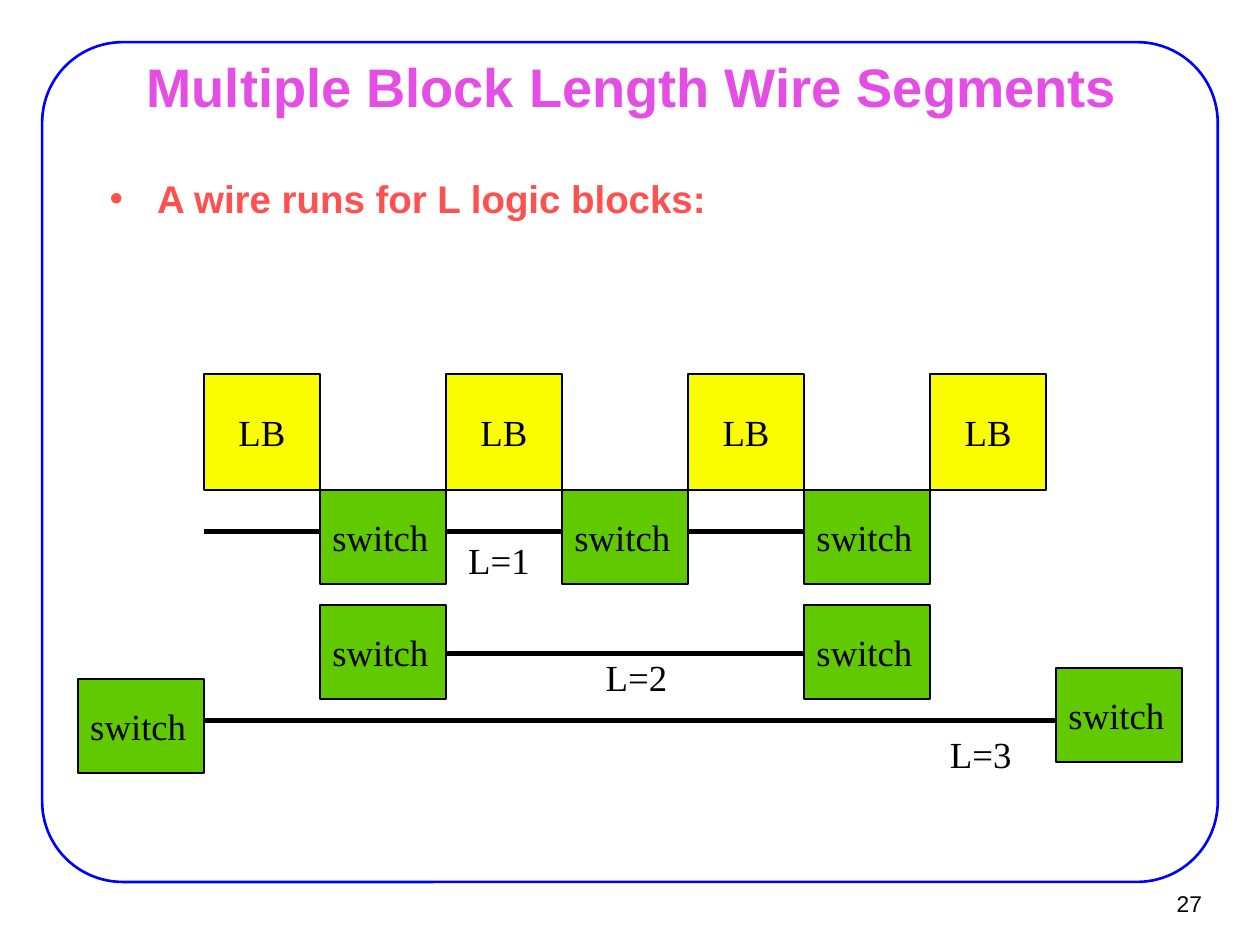
from lxml.etree import SubElement
from pptx import Presentation
from pptx.dml.color import RGBColor as Rgb
from pptx.enum.shapes import MSO_CONNECTOR as Connector, MSO_SHAPE as Preset
from pptx.enum.text import MSO_ANCHOR as Anchor, PP_ALIGN as Align
from pptx.oxml.ns import qn
from pptx.util import Cm, Pt

COLORS = {
    "frame": "0000FF",
    "title": "E44EE4",
    "bullet": "FF5050",
    "ink": "000000",
    "logic": "FAFD00",
    "switch": "60C900",
}
SANS, SERIF = "Arial", "Times New Roman"


class WirePage:
    def __init__(self, page):
        self.page = page

    def color(self, name):
        return Rgb.from_string(COLORS[name])

    def label(self, box, text, size=21, font=SERIF, color="ink", bold=False,
              align=Align.LEFT, anchor=Anchor.MIDDLE, inset=(0.25, 0.13)):
        frame = box.text_frame
        frame.text = text
        frame.word_wrap = True
        frame.vertical_anchor = anchor
        frame.margin_left = frame.margin_right = Cm(inset[0])
        frame.margin_top = frame.margin_bottom = Cm(inset[1])
        para = frame.paragraphs[0]
        para.alignment = align
        span = para.runs[0].font
        span.name, span.size, span.bold = font, Pt(size), bold
        span.color.rgb = self.color(color)
        return para

    def text(self, left, top, width, height, text, **style):
        box = self.page.shapes.add_textbox(Cm(left), Cm(top), Cm(width), Cm(height))
        return self.label(box, text, **style)

    def bullet(self, left, top, width, height, text, **style):
        para = self.text(left, top, width, height, text, anchor=Anchor.TOP, **style)
        para.space_before = Pt(4.4)
        props = para._p.get_or_add_pPr()
        props.set("marL", str(Cm(0.96)))
        props.set("indent", str(-Cm(0.96)))
        SubElement(props, qn("a:buFont"), typeface=SANS)
        SubElement(props, qn("a:buChar"), char="•")

    def outline(self, preset, left, top, width, height, line, weight, fill=None):
        box = self.page.shapes.add_shape(preset, Cm(left), Cm(top), Cm(width), Cm(height))
        box.shadow.inherit = False
        box.line.color.rgb = self.color(line)
        box.line.width = Pt(weight)
        if fill:
            box.fill.solid()
            box.fill.fore_color.rgb = self.color(fill)
        else:
            box.fill.background()
        return box

    def frame(self, left, top, width, height):
        box = self.outline(Preset.ROUNDED_RECTANGLE, left, top, width, height, "frame", 1.5)
        box.adjustments[0] = 0.096

    def block(self, left, top, width, height, text, fill, align):
        box = self.outline(Preset.RECTANGLE, left, top, width, height, "ink", 1, fill)
        self.label(box, text, align=align)

    def wire(self, start, end, level):
        wire = self.page.shapes.add_connector(
            Connector.STRAIGHT, Cm(start), Cm(level), Cm(end), Cm(level))
        wire.line.color.rgb = self.color("ink")
        wire.line.width = Pt(3)
        SubElement(wire._element.spPr, qn("a:effectLst"))


def main():
    deck = Presentation()
    deck.slide_width, deck.slide_height = Cm(25.4), Cm(19.05)
    page = WirePage(deck.slides.add_slide(deck.slide_layouts[6]))

    page.frame(0.85, 0.85, 23.7, 16.93)
    page.text(1.93, 1.12, 21.59, 1.24, "Multiple Block Length Wire Segments", size=31,
              font=SANS, color="title", bold=True, align=Align.CENTER, inset=(0.28, 0.15))
    page.bullet(1.93, 3.38, 21.56, 6.73, "A wire runs for L logic blocks:", size=22,
                font=SANS, color="bullet", bold=True, inset=(0.28, 0.15))
    page.text(22.91, 17.75, 1.55, 0.94, "27", size=13, font=SANS,
              align=Align.RIGHT, inset=(0.23, 0.1))

    logic_size, switch_width, switch_height = 2.34, 2.54, 1.9
    pitch = logic_size + switch_width
    logic_top = 7.54
    logic_lefts = [4.11 + pitch * column for column in range(4)]
    switch_lefts = [left + logic_size for left in logic_lefts[:3]]
    first_row, second_row = logic_top + logic_size, 12.19
    outer_left, outer_right = logic_lefts[0] - switch_width, 21.29

    for left in logic_lefts:
        page.block(left, logic_top, logic_size, logic_size, "LB", "logic", Align.CENTER)

    for left in logic_lefts[:3]:
        page.wire(left, left + logic_size, 10.72)
    page.wire(logic_lefts[1], switch_lefts[2], 13.18)
    page.wire(logic_lefts[0], outer_right, 14.53)

    switches = [(left, first_row) for left in switch_lefts]
    switches += [(left, second_row) for left in switch_lefts[::2]]
    switches += [(outer_left, 13.69), (outer_right, 13.46)]
    for left, top in switches:
        page.block(left, top, switch_width, switch_height, "switch", "switch", Align.LEFT)

    for length, left, top in [(1, 9.19, 10.72), (2, 11.96, 13.06), (3, 18.9, 14.63)]:
        page.text(left, top, 1.93, 1.2, f"L={length}", anchor=Anchor.TOP)

    deck.save("out.pptx")


if __name__ == "__main__":
    main()
